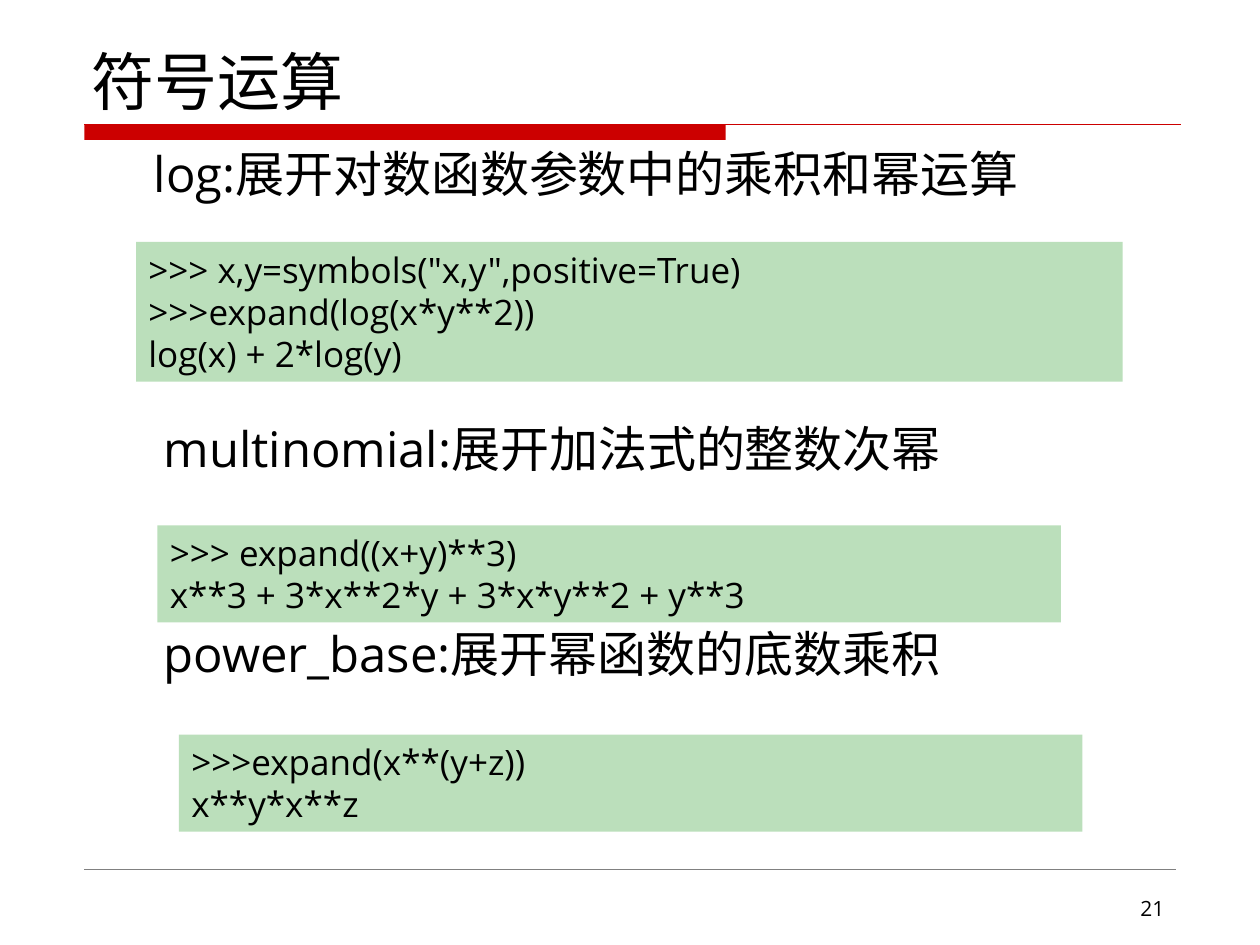
from dataclasses import dataclass

from lxml import etree
from pptx import Presentation
from pptx.dml.color import RGBColor
from pptx.enum.shapes import MSO_CONNECTOR, MSO_SHAPE
from pptx.enum.text import MSO_ANCHOR, PP_ALIGN
from pptx.oxml.ns import qn
from pptx.util import Inches, Pt

RECTANGLE = MSO_SHAPE.RECTANGLE
STRAIGHT = MSO_CONNECTOR.STRAIGHT
LEFT, RIGHT = PP_ALIGN.LEFT, PP_ALIGN.RIGHT
TOP, BOTTOM = MSO_ANCHOR.TOP, MSO_ANCHOR.BOTTOM

FONT = "Open Sans"
COLORS = {"text": "000000", "accent": "CC0000", "code": "BBDFBB", "footer": "808080"}
CODE_WIDTH = 7.17
RULE_LEFT = 0.67


@dataclass
class Example:
    """An expand() option: its heading and the session that shows it."""
    heading: str
    heading_left: float
    heading_top: float
    code: str
    code_left: float
    code_top: float
    code_height: float
    code_width: float = CODE_WIDTH


EXAMPLES = [
    Example("log:展开对数函数参数中的乘积和幂运算", 1.22, 1.14,
            '>>> x,y=symbols("x,y",positive=True)\n>>>expand(log(x*y**2))\nlog(x) + 2*log(y)',
            1.08, 1.92, 1.11, 7.83),
    Example("multinomial:展开加法式的整数次幂", 1.3, 3.32,
            ">>> expand((x+y)**3)\nx**3 + 3*x**2*y + 3*x*y**2 + y**3",
            1.25, 4.17, 0.77),
    Example("power_base:展开幂函数的底数乘积", 1.3, 4.95,
            ">>>expand(x**(y+z))\nx**y*x**z",
            1.42, 5.83, 0.77),
]


def color(name: str) -> RGBColor:
    """Look up a palette colour."""
    return RGBColor.from_string(COLORS[name])


def write(shape, text: str, size: float, align=LEFT, anchor=TOP, margins=(0.1, 0.05)) -> None:
    """Fill a shape with text, one paragraph per line."""
    frame = shape.text_frame
    frame.word_wrap = True
    frame.vertical_anchor = anchor
    frame.margin_left = frame.margin_right = Inches(margins[0])
    frame.margin_top = frame.margin_bottom = Inches(margins[1])
    frame.text = text
    for paragraph in frame.paragraphs:
        paragraph.alignment = align
        for run in paragraph.runs:
            run.font.size = Pt(size)
            run.font.name = FONT
            run.font.color.rgb = color("text")


def add_label(slide, left: float, top: float, width: float, height: float,
              text: str, size: float, **layout) -> None:
    """Add a plain text box."""
    label = slide.shapes.add_textbox(Inches(left), Inches(top), Inches(width), Inches(height))
    write(label, text, size, **layout)


def add_block(slide, left: float, top: float, width: float, height: float, fill: str):
    """Add a filled rectangle without outline."""
    block = slide.shapes.add_shape(RECTANGLE, Inches(left), Inches(top),
                                   Inches(width), Inches(height))
    block.shadow.inherit = False
    block.fill.solid()
    block.fill.fore_color.rgb = color(fill)
    block.line.fill.background()
    return block


def add_rule(slide, right: float, top: float, line_color: str, weight: float) -> None:
    """Add a horizontal rule from the left margin."""
    rule = slide.shapes.add_connector(STRAIGHT, Inches(RULE_LEFT), Inches(top),
                                      Inches(right), Inches(top))
    rule.line.color.rgb = color(line_color)
    rule.line.width = Pt(weight)
    etree.SubElement(rule._element.spPr, qn("a:effectLst"))


def add_example(slide, example: Example) -> None:
    """Add a heading and its code block."""
    add_label(slide, example.heading_left, example.heading_top, 7.8, 0.57,
              example.heading, 28, margins=(0, 0))
    code = add_block(slide, example.code_left, example.code_top,
                     example.code_width, example.code_height, "code")
    write(code, example.code, 20)


def main() -> None:
    """Build the slide and save it."""
    deck = Presentation()
    deck.slide_width, deck.slide_height = Inches(10), Inches(7.5)
    slide = deck.slides.add_slide(deck.slide_layouts[6])

    add_block(slide, RULE_LEFT, 0.99, 5.09, 0.12, "accent")
    add_rule(slide, 9.37, 0.99, "accent", 0.75)
    add_rule(slide, 9.33, 6.9, "footer", 0.25)
    add_label(slide, 0.63, 0.33, 8.75, 0.66, "符号运算", 36, anchor=BOTTOM)
    for example in EXAMPLES:
        add_example(slide, example)
    add_label(slide, 7.17, 7.06, 2.17, 0.29, "21", 12, align=RIGHT)

    deck.save("out.pptx")


main()
